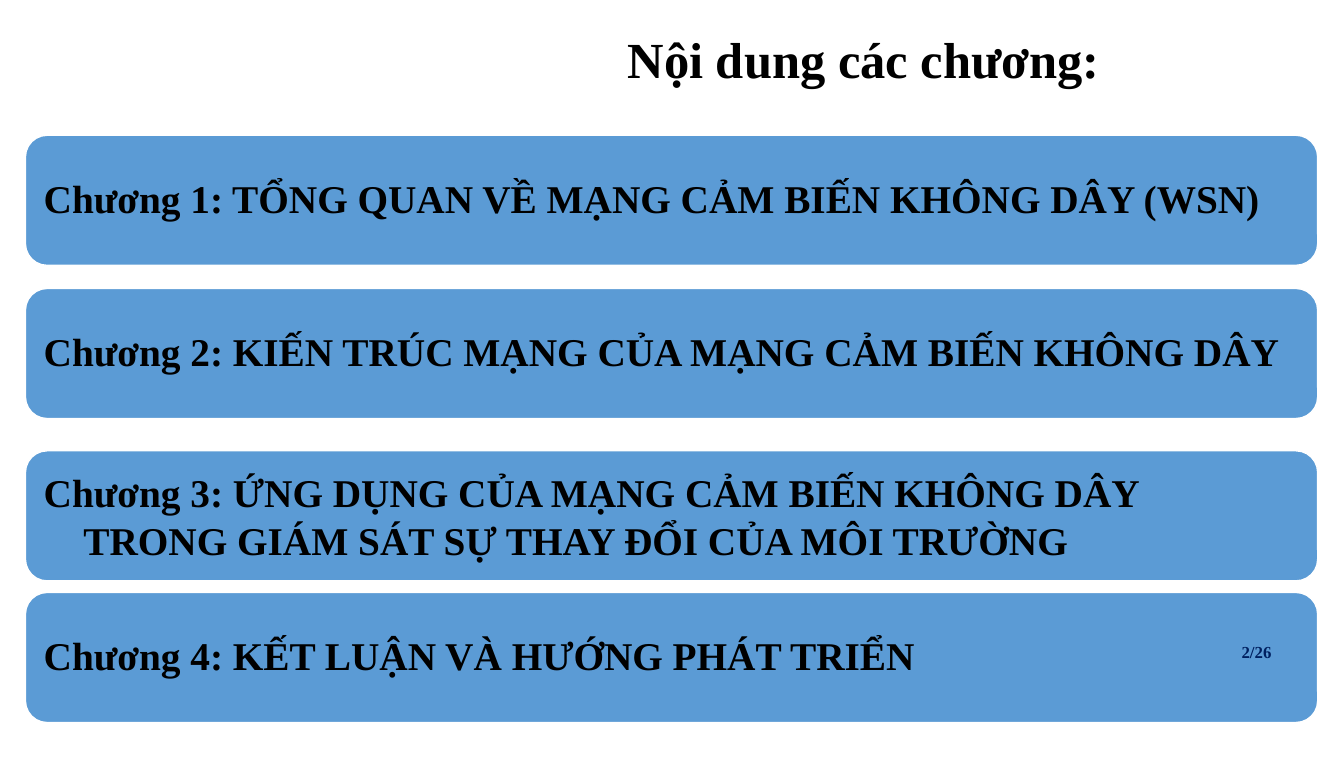
from dataclasses import dataclass

from pptx import Presentation
from pptx.dml.color import RGBColor
from pptx.enum.shapes import MSO_SHAPE as Shape
from pptx.enum.text import MSO_ANCHOR as Anchor, MSO_AUTO_SIZE as AutoSize, PP_ALIGN as Align
from pptx.util import Cm, Pt


@dataclass(frozen=True)
class Theme:
    font: str = "Times New Roman"
    ink: RGBColor = RGBColor(0, 0, 0)
    bar: RGBColor = RGBColor(0x5B, 0x9B, 0xD5)
    edge: RGBColor = RGBColor(0xFF, 0xFF, 0xFF)
    page: RGBColor = RGBColor(0x00, 0x20, 0x60)
    heading_size: int = 36
    chapter_size: int = 28
    page_size: int = 12


THEME = Theme()
CHAPTERS = [
    (0, "Chương 1: TỔNG QUAN VỀ MẠNG CẢM BIẾN KHÔNG DÂY (WSN)"),
    (3.85, "Chương 2: KIẾN TRÚC MẠNG CỦA MẠNG CẢM BIẾN KHÔNG DÂY"),
    (7.93, "Chương 3: ỨNG DỤNG CỦA MẠNG CẢM BIẾN KHÔNG DÂY\v"
           "TRONG GIÁM SÁT SỰ THAY ĐỔI CỦA MÔI TRƯỜNG"),
    (11.49, "Chương 4: KẾT LUẬN VÀ HƯỚNG PHÁT TRIỂN"),
]


def write(frame, text, size, color, align=Align.LEFT):
    frame.word_wrap = True
    frame.auto_size = AutoSize.NONE
    frame.vertical_anchor = Anchor.MIDDLE
    frame.text = text
    paragraph = frame.paragraphs[0]
    paragraph.alignment = align
    font = paragraph.font
    font.name, font.size, font.bold = THEME.font, Pt(size), True
    font.color.rgb = color
    return paragraph


def add_heading(slide, left, top, width, height):
    heading = slide.shapes.title
    heading.left, heading.top = Cm(left), Cm(top)
    heading.width, heading.height = Cm(width), Cm(height)
    line = write(heading.text_frame, "Nội dung các chương:", THEME.heading_size, THEME.ink)
    line.line_spacing = 0.9


def add_chapters(slide, left, top, width, bar_height):
    for offset, chapter in CHAPTERS:
        bar = slide.shapes.add_shape(
            Shape.ROUNDED_RECTANGLE, Cm(left), Cm(top + offset), Cm(width), Cm(bar_height))
        bar.shadow.inherit = False
        bar.fill.solid()
        bar.fill.fore_color.rgb = THEME.bar
        bar.line.color.rgb = THEME.edge
        bar.line.width = Pt(1)
        frame = bar.text_frame
        frame.margin_left = frame.margin_right = Cm(0.3)
        line = write(frame, chapter, THEME.chapter_size, THEME.ink)
        if "\v" in chapter:
            indents = line._p.get_or_add_pPr()
            indents.set("marL", str(Cm(1)))
            indents.set("indent", str(-Cm(1)))
        else:
            line.line_spacing = 0.9


def add_page_number(slide, left, top, width, height):
    page = slide.shapes.add_textbox(Cm(left), Cm(top), Cm(width), Cm(height))
    write(page.text_frame, "2/26", THEME.page_size, THEME.page, Align.RIGHT)


def main():
    deck = Presentation()
    deck.slide_width, deck.slide_height = Cm(33.78), Cm(19.05)
    slide = deck.slides.add_slide(deck.slide_layouts[5])
    add_heading(slide, 15.52, 0.25, 12.88, 2.6)
    add_chapters(slide, 0.64, 3.4, 32.48, 3.27)
    add_page_number(slide, 24.61, 15.88, 7.6, 1)
    deck.save("out.pptx")


if __name__ == "__main__":
    main()
